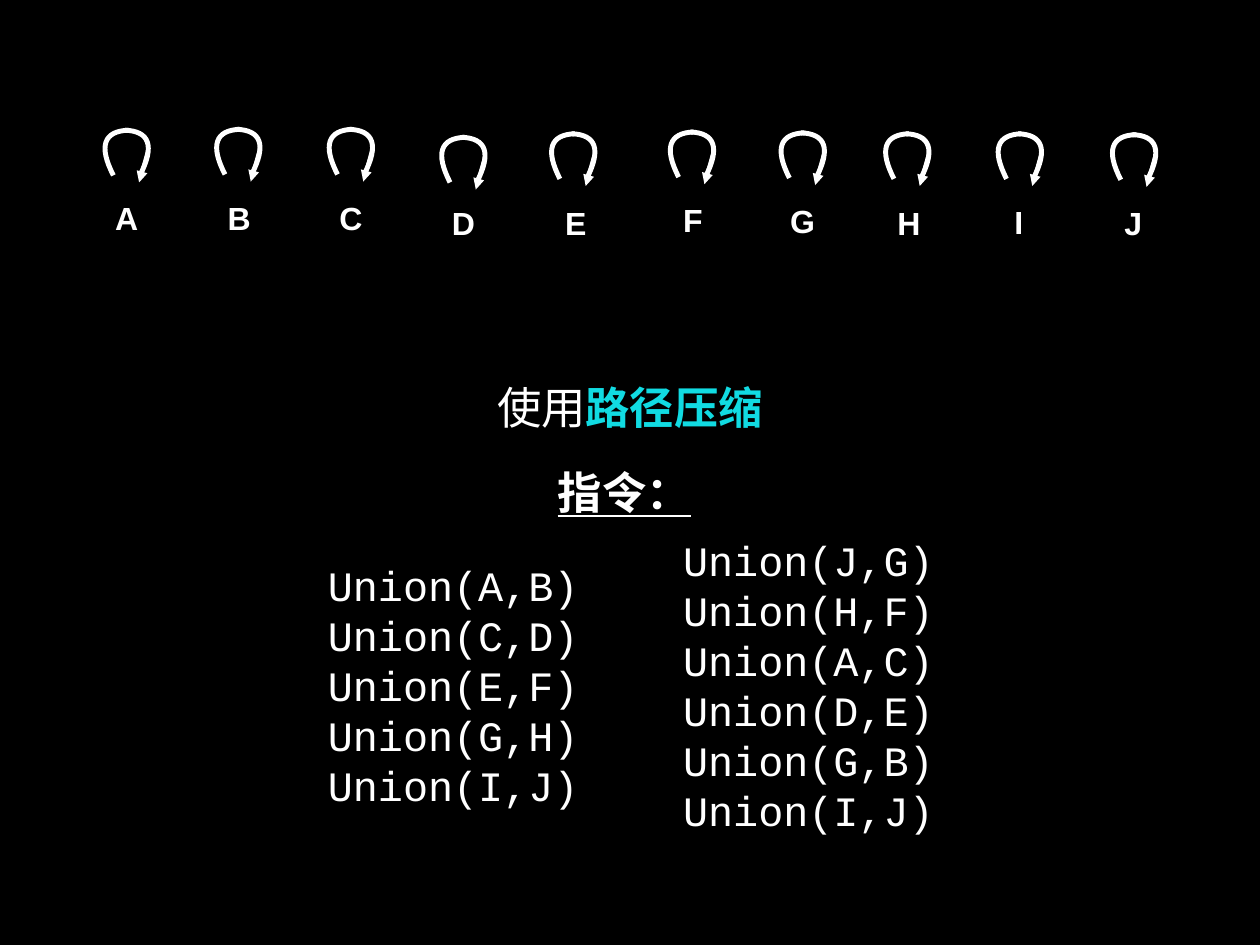
from dataclasses import dataclass

from lxml import etree
from pptx import Presentation
from pptx.dml.color import RGBColor
from pptx.enum.shapes import MSO_CONNECTOR as Connector, MSO_SHAPE as Shape
from pptx.enum.text import MSO_ANCHOR as Anchor, MSO_AUTO_SIZE as AutoSize, PP_ALIGN as Align
from pptx.oxml.ns import qn
from pptx.slide import Slide
from pptx.text.text import TextFrame
from pptx.util import Emu, Pt

PX = 9144  # EMU per px, 100 px to the inch
BLACK = RGBColor(0x00, 0x00, 0x00)
WHITE = RGBColor(0xFF, 0xFF, 0xFF)
CYAN = RGBColor(0x11, 0xDB, 0xE2)
MONO = "Courier New"
NODE_SIZE = 70
INSET = 6
# Left half of a loop, relative to its top centre
LOOP_START = (2, 0)
LOOP_BULGE = (-24, 18)
LOOP_END = (-15, 51)
LOOP_CURVE = ((-26, 1), (-32, 18), LOOP_END)


@dataclass(frozen=True)
class Node:
    letter: str
    left: int
    top: int
    loop_x: int
    loop_y: int


@dataclass(frozen=True)
class Span:
    text: str
    color: RGBColor = WHITE
    bold: bool = False
    underline: bool = False


@dataclass(frozen=True)
class Label:
    left: int
    top: int
    width: int
    height: int
    spans: tuple[Span, ...]


@dataclass(frozen=True)
class CommandList:
    left: int
    top: int
    width: int
    height: int
    pairs: tuple[str, ...]


NODES = (
    Node("A", 108, 211, 143, 147),
    Node("B", 235, 211, 269, 146),
    Node("C", 361, 211, 396, 146),
    Node("D", 488, 216, 523, 155),
    Node("E", 615, 216, 647, 151),
    Node("F", 747, 213, 781, 149),
    Node("G", 871, 214, 906, 150),
    Node("H", 991, 216, 1024, 151),
    Node("I", 1115, 215, 1151, 151),
    Node("J", 1244, 216, 1280, 152),
)
LABELS = (
    Label(554, 423, 314, 72, (Span("使用"), Span("路径压缩", CYAN, bold=True))),
    Label(623, 519, 163, 72, (Span("指令：", bold=True, underline=True),)),
)
COMMANDS = (
    CommandList(364, 629, 382, 289, ("A,B", "C,D", "E,F", "G,H", "I,J")),
    CommandList(765, 601, 434, 344, ("J,G", "H,F", "A,C", "D,E", "G,B", "I,J")),
)


def px(*lengths: int) -> list[Emu]:
    return [Emu(length * PX) for length in lengths]


def set_frame(frame: TextFrame, wrap: bool) -> None:
    frame.margin_left, frame.margin_top, frame.margin_right, frame.margin_bottom = px(*[INSET] * 4)
    frame.vertical_anchor = Anchor.MIDDLE
    frame.word_wrap = wrap


def draw_half_loop(page: Slide, node: Node, side: int) -> None:
    def place(point: tuple[int, int]) -> list[Emu]:
        return px(node.loop_x + side * point[0], node.loop_y + point[1])

    builder = page.shapes.build_freeform(*place(LOOP_START))
    builder.add_line_segments([place(LOOP_BULGE), place(LOOP_END)], close=False)
    half = builder.convert_to_shape()
    half.shadow.inherit = False
    half.fill.background()
    half.line.color.rgb = WHITE
    half.line.width = Pt(4)

    # One cubic curve takes the place of the straight segments
    outline = next(half._element.iter(qn("a:path")))
    for segment in outline.findall(qn("a:lnTo")):
        outline.remove(segment)
    curve = etree.SubElement(outline, qn("a:cubicBezTo"))
    for point in LOOP_CURVE:
        x, y = place(point)
        etree.SubElement(curve, qn("a:pt"), x=str(x - half.left), y=str(y - half.top))


def draw_arrow(page: Slide, node: Node) -> None:
    ends = px(node.loop_x + 24, node.loop_y + 23, node.loop_x + 14, node.loop_y + 59)
    arrow = page.shapes.add_connector(Connector.STRAIGHT, *ends)
    arrow.line.color.rgb = WHITE
    arrow.line.width = Pt(3)
    etree.SubElement(arrow.line._get_or_add_ln(), qn("a:tailEnd"), type="triangle")
    etree.SubElement(arrow._element.spPr, qn("a:effectLst"))


def draw_node(page: Slide, node: Node) -> None:
    circle = page.shapes.add_shape(Shape.OVAL, *px(node.left, node.top, NODE_SIZE, NODE_SIZE))
    circle.shadow.inherit = False
    circle.fill.background()
    circle.line.fill.background()
    set_frame(circle.text_frame, wrap=True)
    circle.text_frame.text = node.letter
    para = circle.text_frame.paragraphs[0]
    para.alignment = Align.CENTER
    font = para.runs[0].font
    font.name, font.size, font.bold = "Arial", Pt(26), True
    font.color.rgb = WHITE
    for side in (1, -1):
        draw_half_loop(page, node, side)
    draw_arrow(page, node)


def draw_label(page: Slide, label: Label) -> None:
    box = page.shapes.add_textbox(*px(label.left, label.top, label.width, label.height))
    set_frame(box.text_frame, wrap=False)
    box.text_frame.auto_size = AutoSize.SHAPE_TO_FIT_TEXT
    para = box.text_frame.paragraphs[0]
    para.alignment = Align.CENTER
    for span in label.spans:
        run = para.add_run()
        run.text = span.text
        font = run.font
        font.name, font.size = MONO, Pt(36)
        font.bold, font.underline = span.bold, span.underline
        font.color.rgb = span.color


def draw_commands(page: Slide, commands: CommandList) -> None:
    box = page.shapes.add_textbox(*px(commands.left, commands.top, commands.width, commands.height))
    set_frame(box.text_frame, wrap=True)
    box.text_frame.text = "\n".join(f"Union({pair})" for pair in commands.pairs)
    for para in box.text_frame.paragraphs:
        para.line_spacing = Pt(40.7)
        font = para.runs[0].font
        font.name, font.size = MONO, Pt(34)
        font.color.rgb = WHITE


def main() -> None:
    deck = Presentation()
    deck.slide_width, deck.slide_height = px(1422, 1067)
    page = deck.slides.add_slide(deck.slide_layouts[6])
    page.background.fill.solid()
    page.background.fill.fore_color.rgb = BLACK

    # Nodes, each pointing at itself
    for node in NODES:
        draw_node(page, node)

    # Headings
    for label in LABELS:
        draw_label(page, label)

    # Two columns of union commands
    for commands in COMMANDS:
        draw_commands(page, commands)

    deck.save("out.pptx")


if __name__ == "__main__":
    main()
